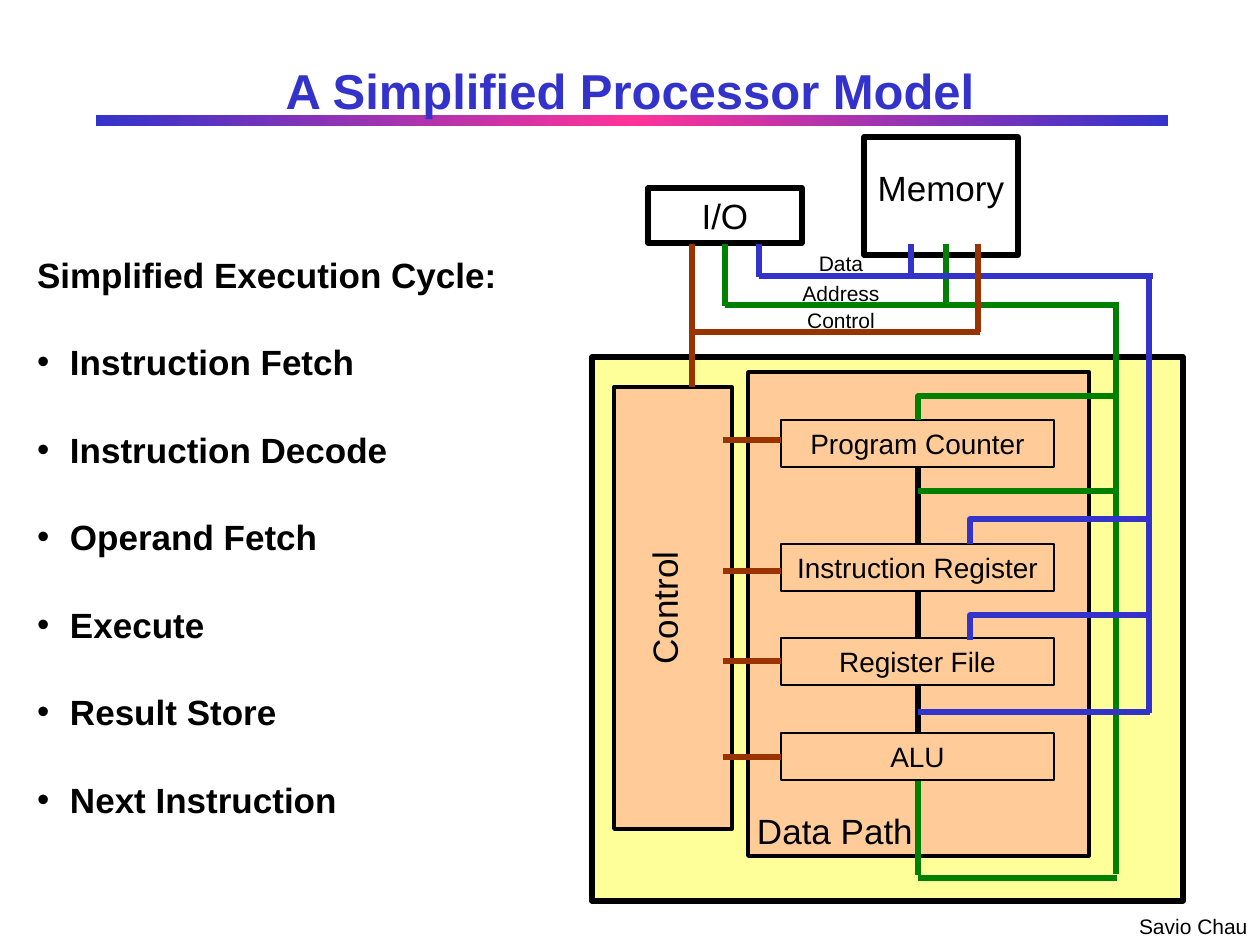
from copy import deepcopy

from lxml.etree import SubElement
from pptx import Presentation
from pptx.dml.color import RGBColor
from pptx.enum.shapes import MSO_CONNECTOR, MSO_SHAPE
from pptx.enum.text import MSO_ANCHOR as ANCHOR, MSO_AUTO_SIZE as AUTO, PP_ALIGN as ALIGN
from pptx.oxml.ns import qn
from pptx.util import Pt

PX = 914400 / 126
BLACK, WHITE = "000000", "FFFFFF"
YELLOW, PEACH = "FFFF99", "FFCC99"
BLUE, GREEN, BROWN, PINK = "3333CC", "008000", "993300", "FF3399"


def px(n):
    return round(n * PX)


def rgb(color):
    return RGBColor.from_string(color)


def place(sp, x, y, w, h):
    sp.left, sp.top, sp.width, sp.height = px(x), px(y), px(w), px(h)


def set_frame(tf, insets, wrap=True, anchor=ANCHOR.MIDDLE):
    """Insets are left, top, right, bottom in px."""
    tf.word_wrap, tf.auto_size, tf.vertical_anchor = wrap, AUTO.NONE, anchor
    tf.margin_left, tf.margin_top, tf.margin_right, tf.margin_bottom = map(px, insets)


def add_run(p, text, size, color=BLACK, bold=False):
    r = p.add_run()
    r.text = text
    r.font.name, r.font.size, r.font.bold = "Arial", Pt(size), bold
    r.font.color.rgb = rgb(color)


def add_box(slide, x, y, w, h, fill=None, line=3, text="", size=20, lift=0):
    """Outlined rectangle; lift raises the centred text by that many px."""
    sp = slide.shapes.add_shape(MSO_SHAPE.RECTANGLE, px(x), px(y), px(w), px(h))
    sp.shadow.inherit = False
    if fill:
        sp.fill.solid()
        sp.fill.fore_color.rgb = rgb(fill)
    else:
        sp.fill.background()
    sp.line.color.rgb = rgb(BLACK)
    sp.line.width = Pt(line)
    if text:
        set_frame(sp.text_frame, (6, 6, 6, 6 + 2 * lift))
        p = sp.text_frame.paragraphs[0]
        p.alignment = ALIGN.CENTER
        add_run(p, text, size)
    return sp


def add_label(slide, x, y, w, h, text, size, align=ALIGN.LEFT, inset=0):
    sp = slide.shapes.add_textbox(px(x), px(y), px(w), px(h))
    set_frame(sp.text_frame, (inset, inset, inset, inset))
    p = sp.text_frame.paragraphs[0]
    p.alignment = align
    add_run(p, text, size)


def add_wire(slide, x1, y1, x2, y2, color):
    ln = slide.shapes.add_connector(MSO_CONNECTOR.STRAIGHT, px(x1), px(y1), px(x2), px(y2))
    ln.line.color.rgb = rgb(color)
    ln.line.width = Pt(3)
    SubElement(ln._element.spPr, qn("a:effectLst"))


def add_tap(slide, x1, y1, x2, y2, color):
    """Wire running across from a bus, then down into a register."""
    fb = slide.shapes.build_freeform(x1, y1, scale=PX)
    fb.add_line_segments([(x2, y1), (x2, y2)], close=False)
    sp = fb.convert_to_shape()
    sp.shadow.inherit = False
    sp.fill.background()
    sp.line.color.rgb = rgb(color)
    sp.line.width = Pt(3)


def add_header(slide, x, y, w, h):
    title = slide.shapes.title
    place(title, x, y, w, h)
    set_frame(title.text_frame, (13, 6, 13, 6))
    p = title.text_frame.paragraphs[0]
    p.alignment = ALIGN.CENTER
    add_run(p, "A Simplified Processor Model", 28, BLUE, True)

    bar = add_box(slide, x + 1, y + 62, w + 2, 11)
    bar.line.fill.background()
    bar.fill.gradient()
    bar.fill.gradient_angle = 0
    gs_list = bar._element.spPr.find(".//" + qn("a:gsLst"))
    gs_list.append(deepcopy(gs_list[0]))
    for stop, pos, color in zip(bar.fill.gradient_stops, (0, 0.5, 1), (BLUE, PINK, BLUE)):
        stop.position = pos
        stop.color.rgb = rgb(color)
    slide.shapes._spTree.insert(2, bar._element)


def add_cycle_list(slide, x, y, w, h):
    body = slide.placeholders[1]
    place(body, x, y, w, h)
    tf = body.text_frame
    set_frame(tf, (13, 6, 13, 6), anchor=ANCHOR.TOP)
    steps = ["Simplified Execution Cycle:", "Instruction Fetch", "Instruction Decode",
             "Operand Fetch", "Execute", "Result Store", "Next Instruction"]
    for i, step in enumerate(steps):
        p = tf.add_paragraph() if i else tf.paragraphs[0]
        pPr = p._p.get_or_add_pPr()
        pPr.set("marL", str(px(33)))
        pPr.set("indent", str(px(-33)))
        p.space_before = Pt(26 if i else 0)
        if i:
            SubElement(pPr, qn("a:buFont"), typeface="Arial")
            SubElement(pPr, qn("a:buChar"), char="•")
        else:
            SubElement(pPr, qn("a:buNone"))
        add_run(p, step, 20, bold=True)


def add_processor(slide, x, y, w, h):
    add_box(slide, x, y, w, h, YELLOW)
    add_box(slide, x + 156, y + 15, 341, 484, PEACH, 2)
    control = add_box(slide, x - 140, y + 192, 442, 118, PEACH, 2, "Control", lift=9)
    control.rotation = 270
    add_label(slide, x + 165, y + 452, 160, 42, "Data Path", 20)

    reg_x, reg_w, reg_h = x + 189, 273, 47
    mid = x + 326
    registers = [("Program Counter", 63, 83), ("Instruction Register", 187, 214),
                 ("Register File", 281, 304), ("ALU", 376, 400)]
    for name, top, stub in registers:
        add_box(slide, reg_x, y + top, reg_w, reg_h, None, 1, name, 16)
        add_wire(slide, x + 131, y + stub, reg_x, y + stub, BROWN)
    for (_, top, _), (_, below, _) in zip(registers, registers[1:]):
        add_wire(slide, mid, y + top + reg_h, mid, y + below, BLACK)

    address, data = x + 524, x + 557
    add_wire(slide, address, y - 51, address, y + 517, GREEN)
    add_wire(slide, mid, y + 134, address, y + 134, GREEN)
    add_wire(slide, mid, y + 521, address + 1, y + 521, GREEN)
    add_wire(slide, mid, y + 424, mid, y + 518, GREEN)
    add_wire(slide, data, y - 82, data, y + 356, BLUE)
    add_wire(slide, mid, y + 355, data + 1, y + 355, BLUE)
    add_tap(slide, address, y + 39, mid, y + 63, GREEN)
    for tap_y in (162, 258):
        add_tap(slide, data - 1, y + tap_y, x + 378, y + tap_y + 25, BLUE)


def add_memory_and_io(slide, x, y, w, h):
    add_box(slide, x + 216, y, 154, 118, WHITE, text="Memory", lift=9)
    add_box(slide, x, y + 51, 154, 55, WHITE, text="I/O")
    # name, colour, bus y, label y, I/O pin x, memory pin x, bus end x, I/O drop end y
    buses = [("Address", GREEN, 168, 144, 77, 298, 471, 169),
             ("Data", BLUE, 139, 114, 111, 263, 505, 140),
             ("Control", BROWN, 195, 171, 44, 330, 332, 250)]
    pin_y = y + 107
    for name, color, bus_y, label_y, io_x, mem_x, end_x, drop_y in buses:
        add_wire(slide, x + io_x, y + bus_y, x + end_x, y + bus_y, color)
        add_wire(slide, x + mem_x, pin_y, x + mem_x, y + bus_y, color)
        add_wire(slide, x + io_x, pin_y, x + io_x, y + drop_y, color)
        add_label(slide, x + 121, y + label_y, 144, 25, name, 12, ALIGN.CENTER)


def main():
    prs = Presentation()
    prs.slide_width, prs.slide_height = px(1260), px(945)
    slide = prs.slides.add_slide(prs.slide_layouts[1])
    add_header(slide, 95, 53, 1070, 73)
    add_cycle_list(slide, 24, 247, 549, 570)
    add_processor(slide, 592, 357, 591, 544)
    add_memory_and_io(slide, 648, 137, 505, 250)
    add_label(slide, 1126, 907, 134, 38, "Savio Chau", 12, inset=6)
    slide.shapes[-1].text_frame.margin_left = px(13)
    slide.shapes[-1].text_frame.word_wrap = False
    prs.save("out.pptx")


if __name__ == "__main__":
    main()
